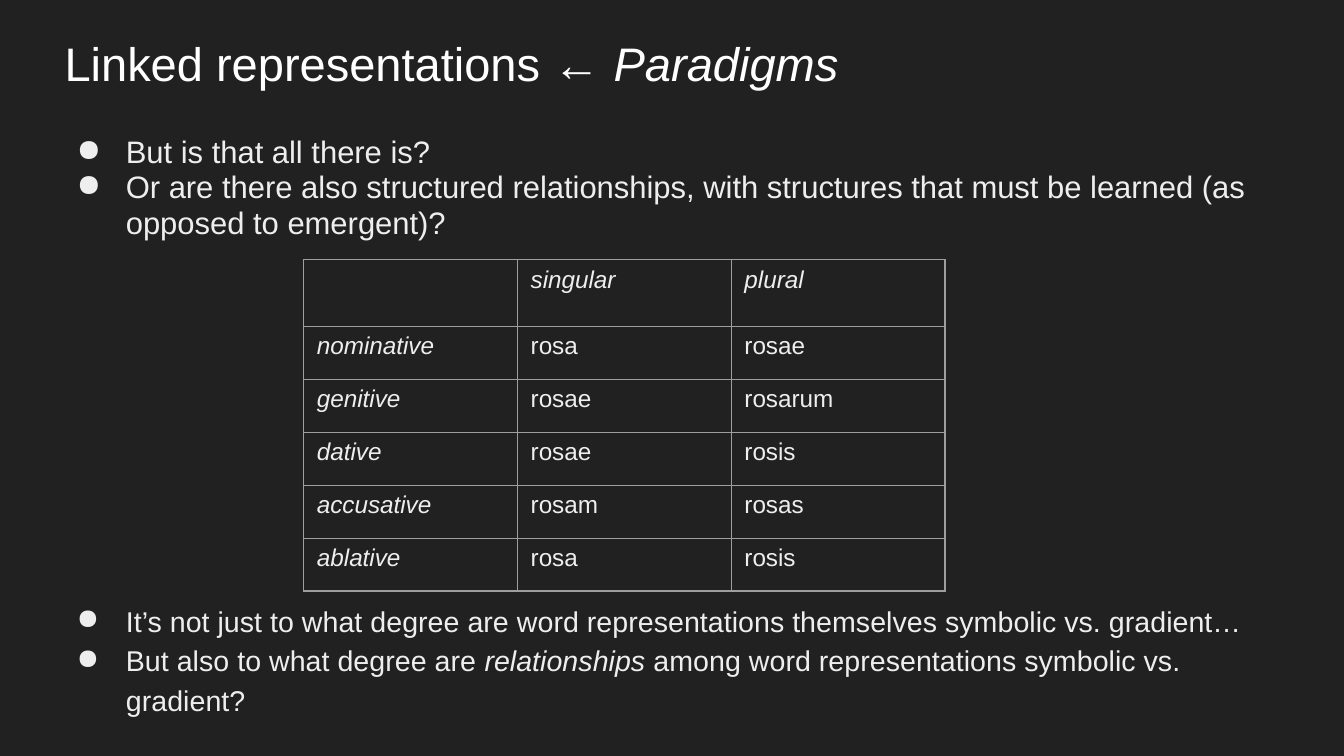
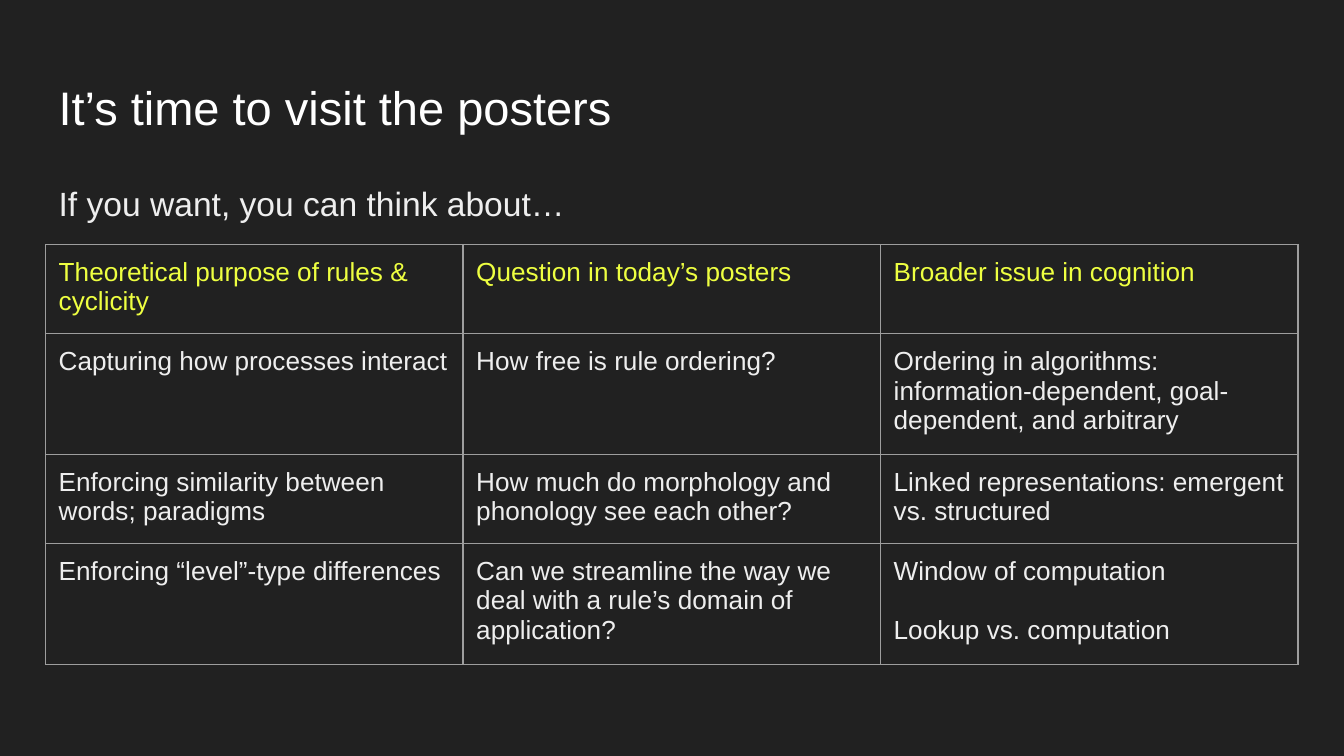
"""Build two dark slides on linked representations and poster questions."""
from lxml import etree
from pptx import Presentation
from pptx import util as u
from pptx.dml.color import RGBColor
from pptx.enum import text
from pptx.oxml import ns

BACKGROUND = RGBColor(0x21, 0x21, 0x21)
WHITE = RGBColor(0xFF, 0xFF, 0xFF)
PALE = RGBColor(0xEE, 0xEE, 0xEE)
YELLOW = RGBColor(0xEE, 0xFF, 0x41)
BORDER = RGBColor(0x9E, 0x9E, 0x9E)
INSET = u.Cm(0.25)
MARGINS = dict.fromkeys(("margin_left", "margin_top", "margin_right", "margin_bottom"), INSET)
FRAME = {**MARGINS, "word_wrap": True, "vertical_anchor": text.MSO_ANCHOR.TOP}
TITLE = {"size": 25.2, "color": WHITE}


def write(frame, lines, size, color=PALE, spacing=1.0, gap=0, bullet=False):
    """Fill a text frame; parts between asterisks are italic."""
    for index, line in enumerate(lines):
        para = frame.add_paragraph() if index else frame.paragraphs[0]
        para.line_spacing = spacing
        if index:
            para.space_before = u.Pt(gap)
        if bullet:
            props = para._p.get_or_add_pPr()
            props.set("marL", str(u.Cm(1.27)))
            props.set("indent", str(u.Cm(-0.93)))
            tint = etree.SubElement(props, ns.qn("a:buClr"))
            etree.SubElement(tint, ns.qn("a:srgbClr"), val=str(color))
            etree.SubElement(props, ns.qn("a:buChar"), char="●")
        for part, words in enumerate(line.split("*")):
            if words:
                span = para.add_run()
                span.text = words
                span.font.color.rgb = color
                style = {"name": "Arial", "size": u.Pt(size), "italic": part % 2 == 1}
                for name, value in style.items():
                    setattr(span.font, name, value)


def add_grid(page, left, top, column_width, heights, rows, size, head_color, spacing=1.0):
    """Add a bordered, unfilled table whose cells hold lists of lines split at line breaks."""
    columns = len(rows[0])
    grid = page.shapes.add_table(len(rows), columns, u.Cm(left), u.Cm(top),
                                 u.Cm(column_width * columns), u.Cm(sum(heights))).table
    grid.first_row = grid.horz_banding = False
    for column in grid.columns:
        column.width = u.Cm(column_width)
    for index, (height, row) in enumerate(zip(heights, rows)):
        grid.rows[index].height = u.Cm(height)
        for cell, words in zip(grid.rows[index].cells, row):
            for name, value in MARGINS.items():
                setattr(cell, name, value)
            write(cell.text_frame, words.split("\n"), size,
                  PALE if index else head_color, spacing, gap=16)
            props = cell._tc.get_or_add_tcPr()
            for side in ("lnL", "lnR", "lnT", "lnB"):
                edge = etree.SubElement(props, ns.qn("a:" + side), w=str(u.Pt(0.75)))
                fill = etree.SubElement(edge, ns.qn("a:solidFill"))
                etree.SubElement(fill, ns.qn("a:srgbClr"), val=str(BORDER))
            cell.fill.background()


deck = Presentation()
deck.slide_width, deck.slide_height = u.Cm(25.4), u.Cm(14.29)

slide_texts = [
    [
        (0.97, 0.41, 1.6, ["Linked representations ← *Paradigms*"], TITLE),
        (0.86, 2.31, 2.62, [
            "But is that all there is?",
            "Or are there also structured relationships, with structures that must be "
            "learned (as opposed to emergent)?",
        ], {"size": 16.6, "spacing": 0.95, "bullet": True}),
        (0.86, 11.07, 2.9, [
            "It’s not just to what degree are word representations themselves symbolic "
            "vs. gradient…",
            "But also to what degree are *relationships* among word representations "
            "symbolic vs. gradient?",
        ], {"size": 15.3, "spacing": 1.15, "bullet": True}),
    ],
    [
        (0.86, 1.24, 1.6, ["It’s time to visit the posters"], TITLE),
        (0.86, 3.1, 9.5, ["If you want, you can think about…"], {"size": 18, "spacing": 1.15}),
    ],
]

pages = []
for boxes in slide_texts:
    page = deck.slides.add_slide(deck.slide_layouts[6])
    page.background.fill.solid()
    page.background.fill.fore_color.rgb = BACKGROUND
    for left, top, height, lines, style in boxes:
        box = page.shapes.add_textbox(u.Cm(left), u.Cm(top), u.Cm(23.67), u.Cm(height))
        for name, value in FRAME.items():
            setattr(box.text_frame, name, value)
        write(box.text_frame, lines, **style)
    pages.append(page)

paradigm = [
    ("", "*singular*", "*plural*"),
    ("*nominative*", "rosa", "rosae"),
    ("*genitive*", "rosae", "rosarum"),
    ("*dative*", "rosae", "rosis"),
    ("*accusative*", "rosam", "rosas"),
    ("*ablative*", "rosa", "rosis"),
]
add_grid(pages[0], 5.74, 4.91, 4.04, [1.21] + [1.0] * 5, paradigm, 13, PALE, spacing=0.7)

questions = [
    ("Theoretical purpose of rules & cyclicity", "Question in today’s posters",
     "Broader issue in cognition"),
    ("Capturing how processes interact", "How free is rule ordering?",
     "Ordering in algorithms: information-dependent, goal-dependent, and arbitrary"),
    ("Enforcing similarity between words; paradigms",
     "How much do morphology and phonology see each other?",
     "Linked representations: emergent vs. structured"),
    ("Enforcing “level”-type differences",
     "Can we streamline the way we deal with a rule’s domain of application?",
     "Window of computation\nLookup vs. computation"),
]
add_grid(pages[1], 0.86, 4.62, 7.89, [1.62, 2.17, 1.61, 2.17], questions, 14, YELLOW)

deck.save("out.pptx")
